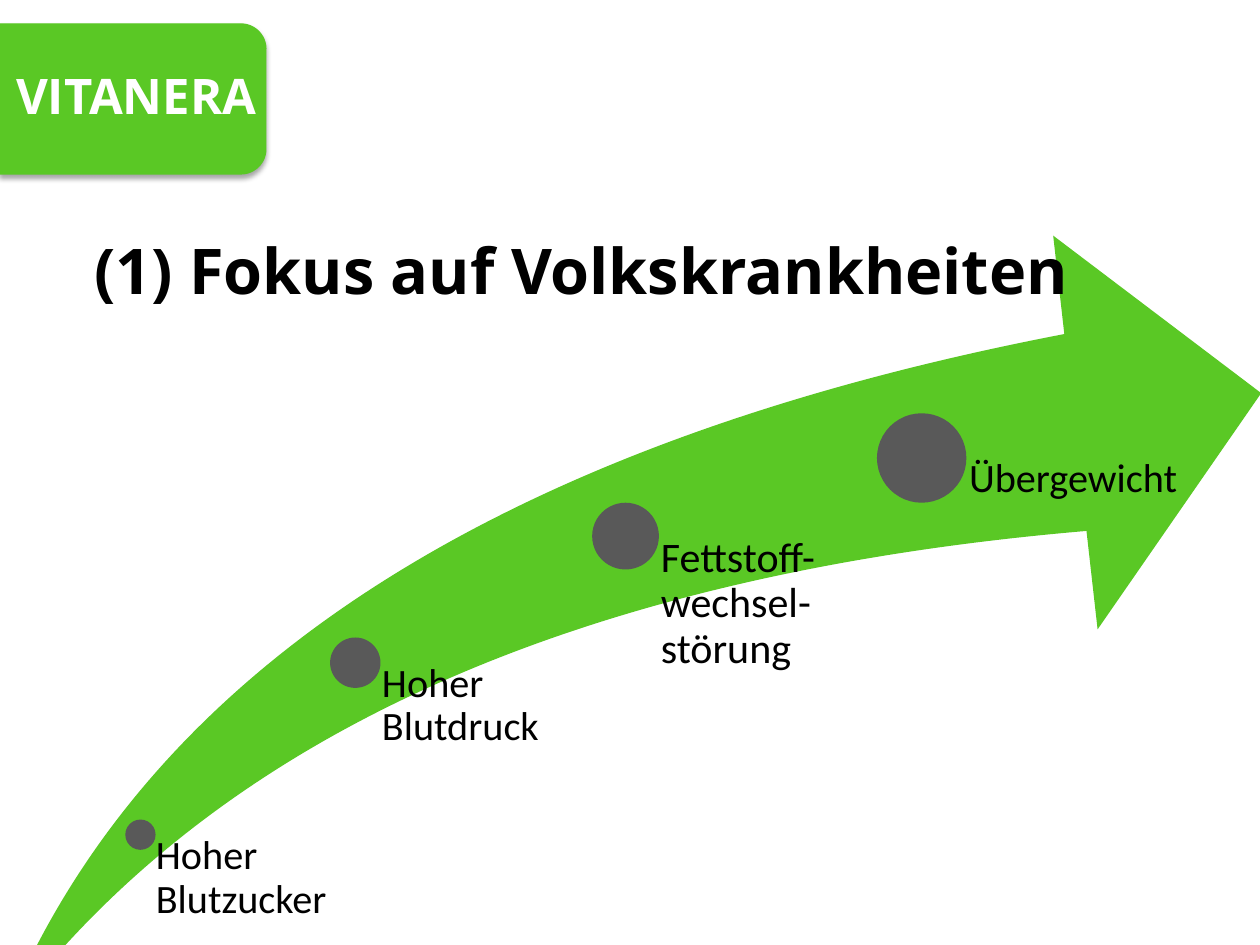
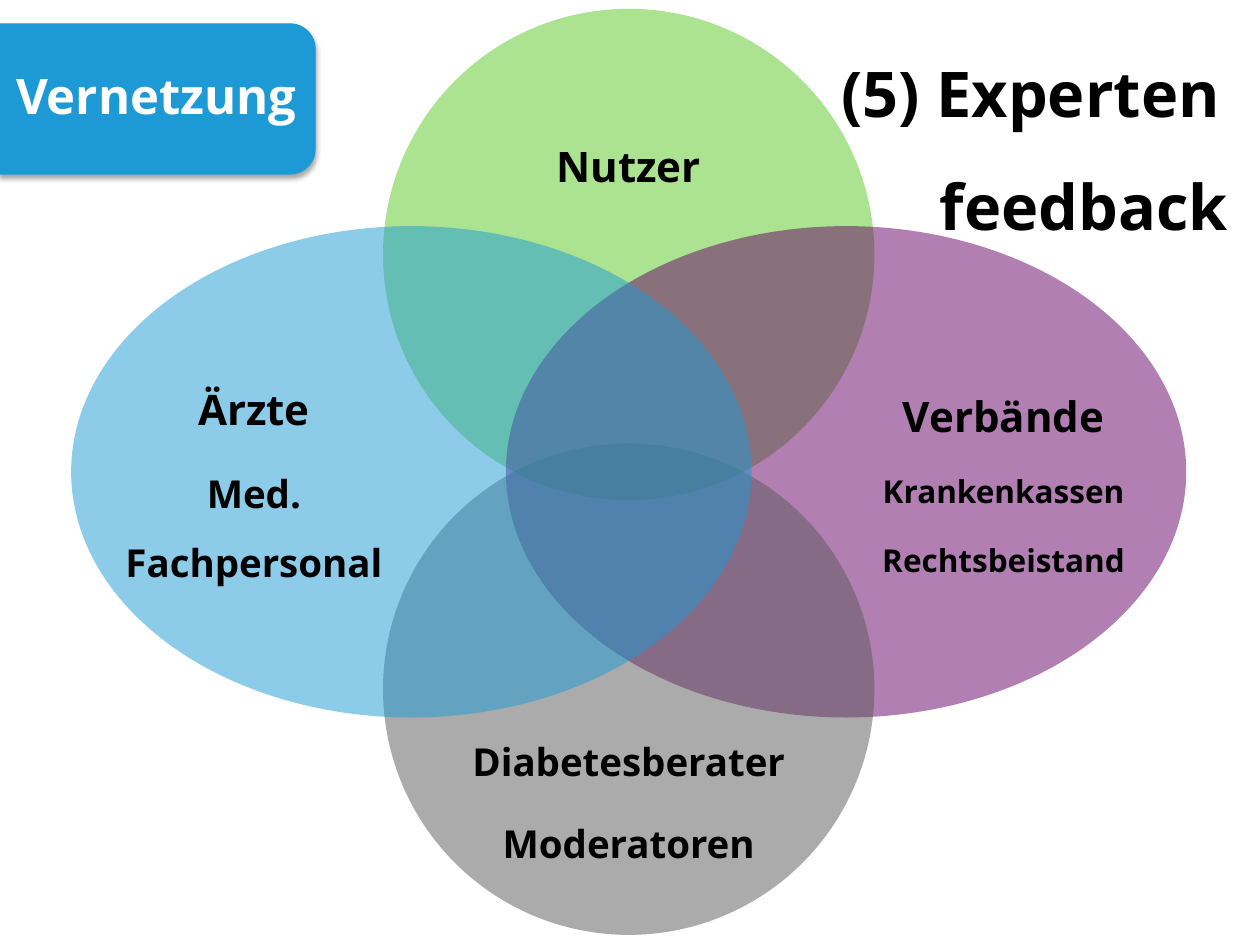
from pptx import Presentation
from pptx.dml.color import RGBColor
from pptx.enum.shapes import MSO_SHAPE as Form
from pptx.enum.text import MSO_ANCHOR as Anchor, MSO_AUTO_SIZE as AutoSize, PP_ALIGN as Align
from pptx.oxml import parse_xml
from pptx.oxml.ns import nsdecls, qn
from pptx.util import Inches, Pt
from lxml import etree

COLORS = {
    "green": "5AC825",
    "blue": "1D9AD5",
    "purple": "660066",
    "gray": "595959",
    "black": "000000",
    "white": "FFFFFF",
}
COLUMNS, ROWS = 100, 75
HEADING_FONT, LABEL_FONT = "Open Sans", "Calibri"
TITLE_FORMAT = {"name": HEADING_FONT, "size": Pt(36), "bold": True}
TAB_FORMAT = {"name": HEADING_FONT, "size": Pt(28), "bold": True}
TAB_TOP, TAB_HEIGHT = 1.9, 11.9
SHADOW = (
    f'<a:effectLst {nsdecls("a")}><a:outerShdw blurRad="{Pt(3.1)}" dist="{Pt(1.8)}" '
    'dir="5400000" rotWithShape="0"><a:srgbClr val="000000"><a:alpha val="35000"/>'
    "</a:srgbClr></a:outerShdw></a:effectLst>"
)


def assign(target, values):
    for name, value in values.items():
        setattr(target, name, value)


def rgb(color):
    return RGBColor.from_string(COLORS[color])


class Painter:
    def __init__(self, deck):
        self.deck = deck
        self.page = None

    def start_page(self):
        self.page = self.deck.slides.add_slide(self.deck.slide_layouts[5])

    def area(self, left, top, width, height):
        across = self.deck.slide_width / COLUMNS
        down = self.deck.slide_height / ROWS
        return [round(n) for n in (left * across, top * down, width * across, height * down)]

    def shape(self, form, area, color, alpha=None, outlined=False):
        item = self.page.shapes.add_shape(form, *self.area(*area))
        item.shadow.inherit = False
        item.fill.solid()
        item.fill.fore_color.rgb = rgb(color)
        if alpha:
            tint = item._element.spPr.find(qn("a:solidFill"))[0]
            etree.SubElement(tint, qn("a:alpha")).set("val", str(alpha * 1000))
        if outlined:
            item.line.color.rgb = rgb(color)
            item.line.width = Pt(0.75)
        else:
            item.line.fill.background()
        return item

    def add_lines(self, frame, lines, paragraph, color="black"):
        for index, (text, font) in enumerate(lines):
            para = frame.paragraphs[0] if index == 0 else frame.add_paragraph()
            assign(para, paragraph)
            span = para.add_run()
            span.text = text
            assign(span.font, font)
            span.font.color.rgb = rgb(color)

    def text(self, area, lines, paragraph, frame_format=None, color="black"):
        box = self.page.shapes.add_textbox(*self.area(*area))
        assign(box.text_frame, {"word_wrap": True, **(frame_format or {})})
        self.add_lines(box.text_frame, lines, paragraph, color)

    def tab(self, text, color, width):
        left = (width - TAB_HEIGHT) / 2
        top = TAB_TOP + (TAB_HEIGHT - width) / 2
        tab = self.shape(Form.ROUND_2_SAME_RECTANGLE, (left, top, TAB_HEIGHT, width), color, outlined=True)
        tab.rotation = 90
        properties = tab._element.spPr
        properties.remove(properties.find(qn("a:effectLst")))
        properties.append(parse_xml(SHADOW))
        self.text((0.3, 4.7, width, 5.7), [(text, TAB_FORMAT)], {}, {"word_wrap": False}, "white")

    def title(self, area, lines, indent=0):
        title = self.page.shapes.title
        assign(title, dict(zip(("left", "top", "width", "height"), self.area(*area))))
        assign(title.text_frame, {
            "word_wrap": True, "auto_size": AutoSize.NONE, "vertical_anchor": Anchor.TOP,
        })
        self.add_lines(title.text_frame, [(line, TITLE_FORMAT) for line in lines],
                       {"alignment": Align.LEFT, "line_spacing": 1.5})
        for para in title.text_frame.paragraphs[1:]:
            para._p.get_or_add_pPr().set("marL", str(Inches(indent)))
        self.page.shapes._spTree.append(title._element)

    def milestone(self, left, top, size, text, points, width, outlined=False):
        self.shape(Form.OVAL, (left, top, size, size), "gray", outlined=outlined)
        center, middle = left + size / 2, top + size / 2
        margins = {"margin_left": self.area(size * 0.53, 0, 0, 0)[0],
                   "margin_top": 0, "margin_right": 0, "margin_bottom": 0}
        self.text((center, middle, width, ROWS - middle),
                  [(text, {"name": LABEL_FONT, "size": Pt(points)})],
                  {"line_spacing": 0.9}, margins)

    def venn_part(self, direction, color, lines):
        across, down = direction
        center, middle, reach = 49.9, 37.45, 17.25
        width, height = (54 if across else 39), 39
        self.shape(Form.OVAL, (center + across * reach - width / 2,
                               middle + down * reach - height / 2, width, height), color, alpha=50)
        label_width, label_height = (20.8, 30) if across else (30, 12.4)
        area = (center + across * 29.75 - label_width / 2,
                middle + down * 25.3 - label_height / 2, label_width, label_height)
        fonts = [(text, {"name": HEADING_FONT, "size": Pt(points), "bold": True})
                 for text, points in lines]
        margins = dict.fromkeys(("margin_left", "margin_top", "margin_right", "margin_bottom"), 0)
        self.text(area, fonts,
                  {"alignment": Align.CENTER, "line_spacing": 1.5, "space_after": Pt(7)},
                  {"vertical_anchor": Anchor.MIDDLE, **margins})


def build_diseases(painter):
    painter.start_page()
    painter.tab("VITANERA", "green", 21.1)
    arrow = painter.shape(Form.SWOOSH_ARROW, (0.1, 18.7, 100, 62.5), "green")
    for index in range(2):
        arrow.adjustments[index] = 0.25
    painter.milestone(10, 65.1, 2.3, "Hoher Blutzucker", 23, 17.1, outlined=True)
    for milestone in (
        (26.2, 50.6, 4, "Hoher Blutdruck", 23),
        (47, 39.9, 5.3, "Fettstoff-wechsel-störung", 24),
        (69.6, 32.8, 7.1, "Übergewicht", 23),
    ):
        painter.milestone(*milestone, width=21)
    painter.title((6.5, 14.9, 82, 9.6), ["(1) Fokus auf Volkskrankheiten"])


def build_feedback(painter):
    painter.start_page()
    painter.tab("Vernetzung", "blue", 25)
    for part in (
        ((0, -1), "green", [("Nutzer", 24)]),
        ((1, 0), "purple", [("Verbände", 24), ("Krankenkassen", 18), ("Rechtsbeistand", 18)]),
        ((0, 1), "gray", [("Diabetesberater", 22), ("Moderatoren", 22)]),
        ((-1, 0), "blue", [("Ärzte", 24), ("Med. Fachpersonal", 22)]),
    ):
        painter.venn_part(*part)
    painter.title((65.8, 0.8, 34, 18.7), ["(5) Experten", "feedback"], indent=0.78)


def main():
    deck = Presentation()
    assign(deck, {"slide_width": Inches(10), "slide_height": Inches(7.5)})
    painter = Painter(deck)
    build_diseases(painter)
    build_feedback(painter)
    deck.save("out.pptx")


if __name__ == "__main__":
    main()
